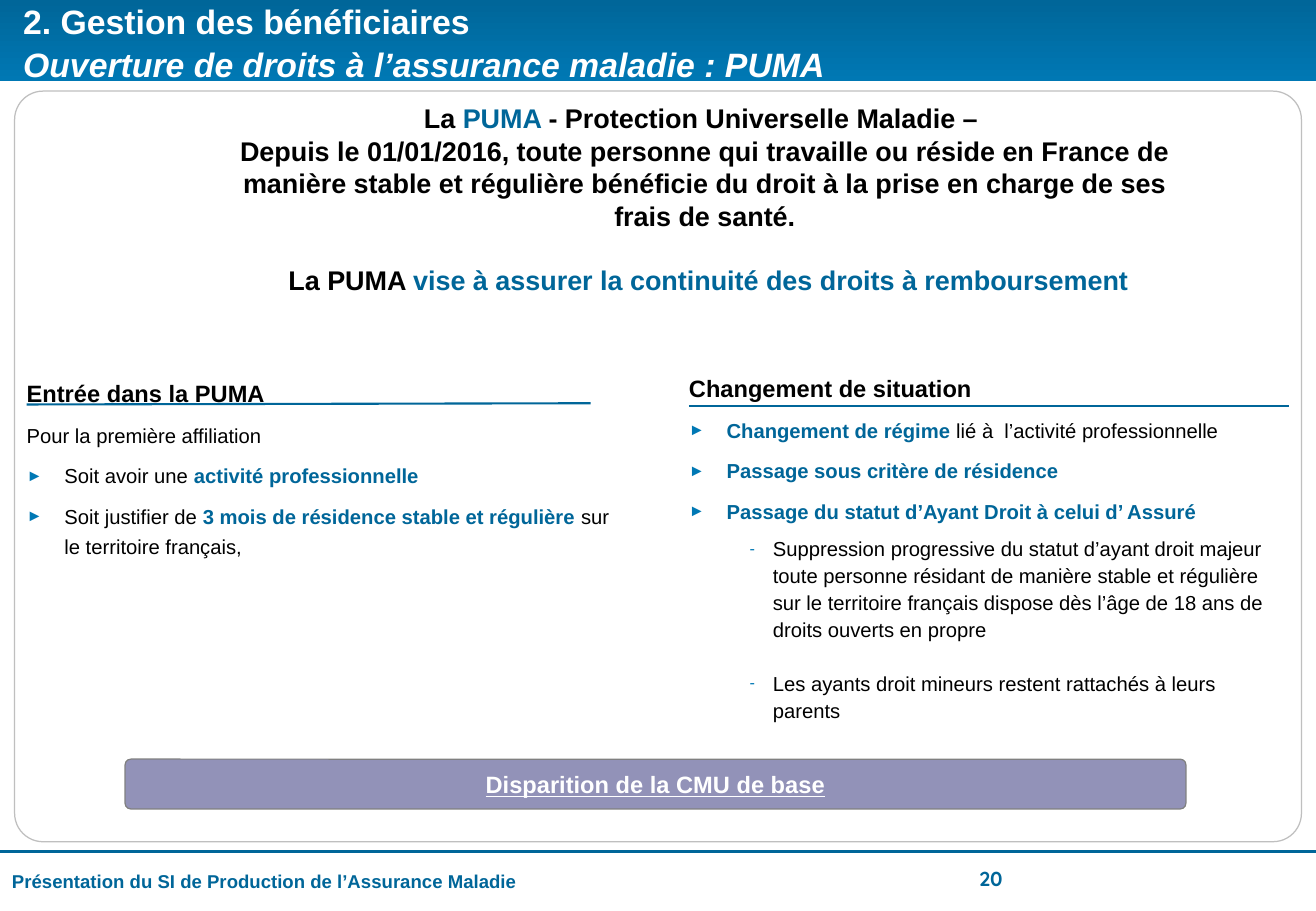
import pptx
import pptx.util
import pptx.dml.color
import pptx.enum.shapes
import pptx.enum.text
import pptx.oxml
import pptx.oxml.ns
from lxml import etree

Inches = pptx.util.Inches
Pt = pptx.util.Pt
kinds = pptx.enum.shapes.MSO_SHAPE
align = pptx.enum.text.PP_ALIGN
anchor = pptx.enum.text.MSO_ANCHOR
qn = pptx.oxml.ns.qn

BLUE, SKY, BLACK, WHITE = "006699", "0078B4", "000000", "FFFFFF"


def color(text):
    return pptx.dml.color.RGBColor.from_string(text)


def add_runs(para, size, runs, face="Arial"):
    for text, tint, style in runs:
        run = para.add_run()
        run.text = text
        run.font.name = face
        run.font.size = Pt(size)
        run.font.color.rgb = color(tint)
        run.font.bold = "b" in style
        run.font.italic = "i" in style
        run.font.underline = "u" in style


deck = pptx.Presentation()
deck.slide_width = Inches(10.83)
deck.slide_height = Inches(7.5)
slide = deck.slides.add_slide(deck.slide_layouts[5])
shapes = slide.shapes

band = shapes.add_shape(kinds.RECTANGLE, 0, 0, Inches(10.83), Inches(0.67))
band.shadow.inherit = False
band.fill.gradient()
band.fill.gradient_angle = 90
for stop, tint in zip(band.fill.gradient_stops, (SKY, BLUE)):
    stop.color.rgb = color(tint)
band.line.fill.background()

panel = shapes.add_shape(kinds.ROUNDED_RECTANGLE, Inches(0.12), Inches(0.75), Inches(10.59), Inches(6.18))
panel.adjustments[0] = 0.038
panel.shadow.inherit = False
panel.fill.solid()
panel.fill.fore_color.rgb = color(WHITE)
panel.line.color.rgb = color("BFBFBF")
panel.line.width = Pt(0.75)

title = shapes.title
shapes._spTree.append(title._element)
title.left, title.top = Inches(0.09), Inches(0.02)
title.width, title.height = Inches(10.54), Inches(0.64)
frame = title.text_frame
frame.auto_size = pptx.enum.text.MSO_AUTO_SIZE.NONE
frame.vertical_anchor = anchor.MIDDLE
para = frame.paragraphs[0]
para.alignment = align.LEFT
para.line_spacing = 1.05
add_runs(para, 20, [("2. Gestion des bénéficiaires", WHITE, "b")])
para.add_line_break()
add_runs(para, 20, [("Ouverture de droits à l’assurance maladie : PUMA", WHITE, "bi")])

intro = shapes.add_textbox(Inches(1.79), Inches(0.79), Inches(8.02), Inches(1.75)).text_frame
intro.word_wrap = True
lines = [
    (0, [("La ", BLACK, "b"), ("PUMA ", BLUE, "b"), ("- Protection Universelle Maladie – ", BLACK, "b")]),
    (0, [("Depuis le 01/01/2016, toute personne qui travaille ou réside en France de manière stable et régulière bénéficie du droit à la prise en charge de ses frais de santé.", BLACK, "b")]),
    (19, [(" La PUMA ", BLACK, "b"), ("vise à assurer la continuité des droits à remboursement", BLUE, "b")]),
]
for row, (gap, runs) in enumerate(lines):
    para = intro.add_paragraph() if row else intro.paragraphs[0]
    para.alignment = align.CENTER
    para.space_before = Pt(gap)
    add_runs(para, 16, runs)

levels = {
    "head": (14, 18, 6, 0, 0, 0, ""),
    "text": (12, 18, 6, 0, 0, 0, ""),
    "item": (12, 18, 6, 1, 0.31, -0.31, "►"),
    "dash": (12, 16, 0, 2, 0.69, -0.19, "-"),
}
right = [
    ("head", 0, [("Changement de situation", BLACK, "b")]),
    ("item", 0, [("Changement de régime ", BLUE, "b"), ("lié à  l’activité professionnelle", BLACK, "")]),
    ("item", 0, [("Passage sous critère de résidence", BLUE, "b")]),
    ("item", 0, [("Passage du statut d’Ayant Droit à celui d’ Assuré", BLUE, "b")]),
    ("dash", 0, [("Suppression progressive du statut d’ayant droit majeur  toute personne résidant de manière stable et régulière sur le territoire français dispose dès l’âge de 18 ans de droits ouverts en propre", BLACK, "")]),
    ("dash", 16, [("Les ayants droit mineurs restent rattachés à leurs parents", BLACK, "")]),
]
left = [
    ("head", 0, [("Entrée dans la PUMA", BLACK, "b")]),
    ("text", 0, [("Pour la première affiliation", BLACK, "")]),
    ("item", 0, [("Soit avoir une ", BLACK, ""), ("activité professionnelle", BLUE, "b")]),
    ("item", 0, [("Soit justifier de ", BLACK, ""), ("3 mois de résidence stable et régulière ", BLUE, "b"), ("sur le territoire français,", BLACK, "")]),
]
for x, y, high, paras in ((5.67, 3.06, 3.06, right), (0.22, 3.1, 1.5, left)):
    frame = shapes.add_textbox(Inches(x), Inches(y), Inches(4.93), Inches(high)).text_frame
    frame.word_wrap = True
    frame.margin_left = frame.margin_top = frame.margin_bottom = 0
    frame.margin_right = Inches(0.08)
    for row, (kind, gap, runs) in enumerate(paras):
        size, pitch, after, level, margin, indent, mark = levels[kind]
        para = frame.add_paragraph() if row else frame.paragraphs[0]
        para.level = level
        para.line_spacing = Pt(pitch)
        para.space_before = Pt(gap)
        para.space_after = Pt(after)
        if mark:
            props = para._p.get_or_add_pPr()
            props.set("marL", str(Inches(margin)))
            props.set("indent", str(Inches(indent)))
            tint = etree.SubElement(props, qn("a:buClr"))
            etree.SubElement(tint, qn("a:srgbClr"), val=SKY)
            etree.SubElement(props, qn("a:buSzPct"), val="80000")
            etree.SubElement(props, qn("a:buFont"), typeface="Arial")
            etree.SubElement(props, qn("a:buChar"), char=mark)
        add_runs(para, size, runs)

rules = [
    (-0.01, 7.01, 10.85, 7.01, 1.5),
    (5.67, 3.34, 10.61, 3.34, 1.25),
    (0.22, 3.33, 4.86, 3.32, 1.25),
]
for x1, y1, x2, y2, width in rules:
    rule = shapes.add_connector(pptx.enum.shapes.MSO_CONNECTOR.STRAIGHT, Inches(x1), Inches(y1), Inches(x2), Inches(y2))
    rule.line.color.rgb = color(BLUE)
    rule.line.width = Pt(width)
    etree.SubElement(rule._element.spPr, qn("a:effectLst"))

note = shapes.add_shape(kinds.ROUNDED_RECTANGLE, Inches(1.03), Inches(6.25), Inches(8.73), Inches(0.41))
note.adjustments[0] = 0.114
note.shadow.inherit = False
note.fill.solid()
note.fill.fore_color.rgb = color("262673")
tint = note._element.spPr.find(qn("a:solidFill")).find(qn("a:srgbClr"))
etree.SubElement(tint, qn("a:alpha"), val="50000")
note.line.color.rgb = color("808080")
note.line.width = Pt(0.75)
note.text_frame.vertical_anchor = anchor.MIDDLE
para = note.text_frame.paragraphs[0]
para.alignment = align.CENTER
add_runs(para, 14, [("Disparition de la CMU de base", WHITE, "bu")])

foot = shapes.add_textbox(0, Inches(7.11), Inches(7.11), Inches(0.28)).text_frame
foot.word_wrap = True
add_runs(foot.paragraphs[0], 11, [("Présentation du SI de Production de l’Assurance Maladie", BLUE, "b")])

page = shapes.add_textbox(Inches(7.85), Inches(7.14), Inches(0.61), Inches(0.24)).text_frame
page.word_wrap = True
page.vertical_anchor = anchor.MIDDLE
para = page.paragraphs[0]
para.alignment = align.CENTER
para.line_spacing = 0.6
add_runs(para, 12, [("20", BLUE, "b")], "Quicksand")

deck.save("out.pptx")
